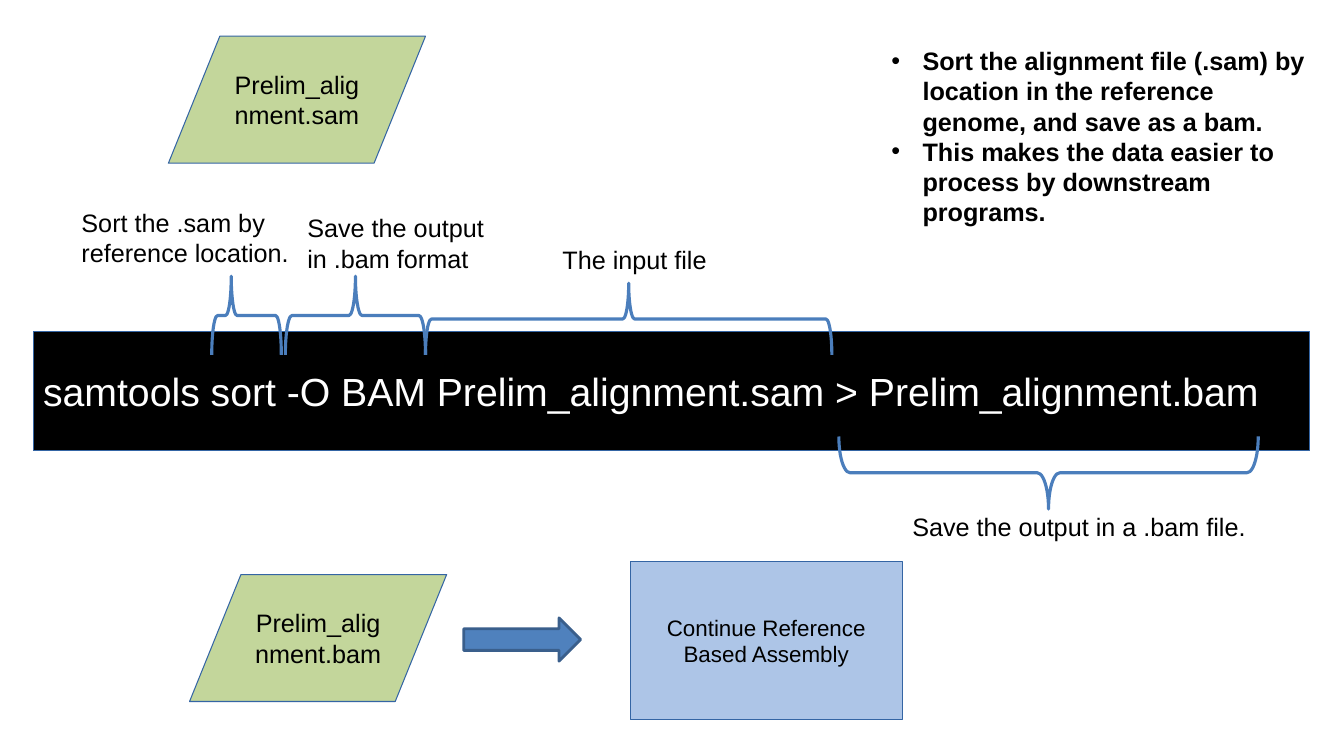
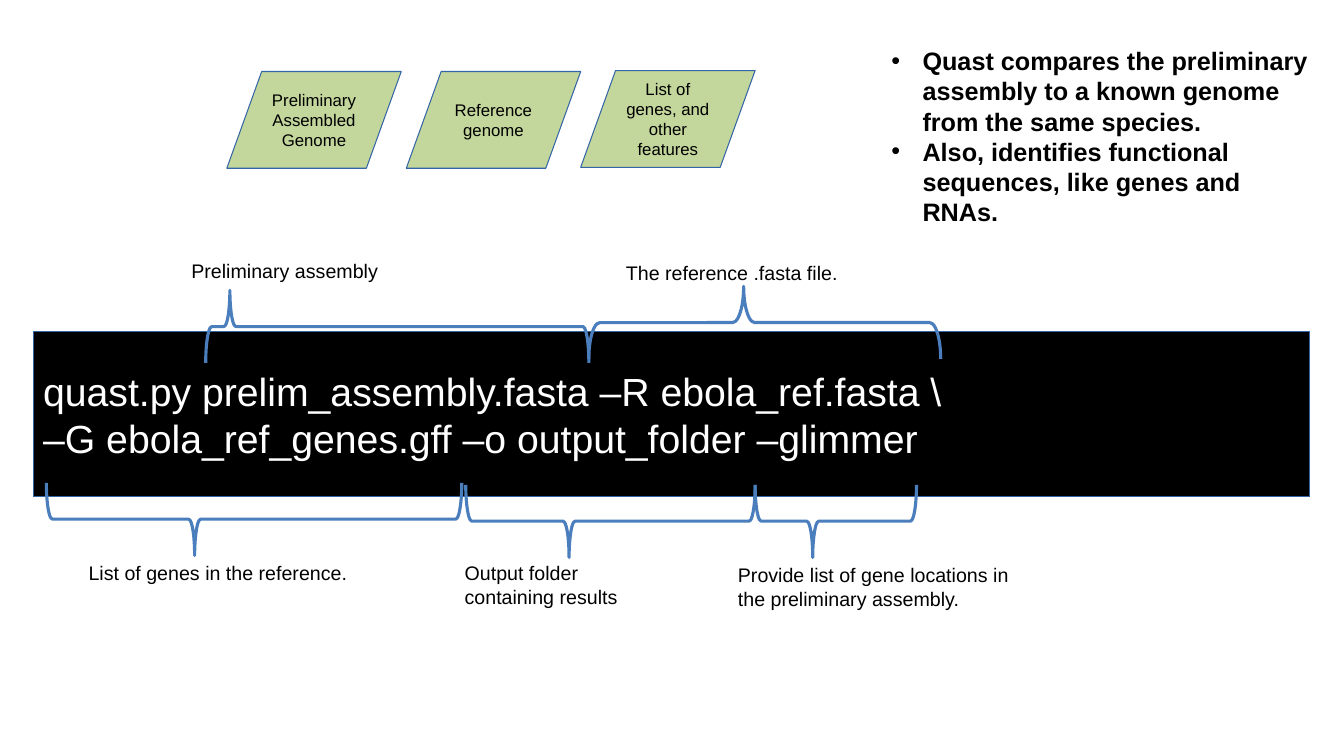
from pptx import Presentation
from pptx.dml.color import RGBColor
from pptx.enum import shapes, text
from pptx.util import Inches, Pt

FONT = "Arial"
BLACK, WHITE = "000000", "FFFFFF"
GREEN, PALE_BLUE, BLUE = "C3D69B", "ADC5E7", "4F81BD"
OUTLINE, BRACE, ARROW_EDGE = "3465A4", "4B7EBC", "3A5F8C"
LEFT, CENTER = text.PP_ALIGN.LEFT, text.PP_ALIGN.CENTER
TOP, MIDDLE = text.MSO_ANCHOR.TOP, text.MSO_ANCHOR.MIDDLE
SHAPE = shapes.MSO_SHAPE


def color(hex_value):
    return RGBColor.from_string(hex_value)


def write(shape, content, size=18, font_color=BLACK, bold=False,
          align=LEFT, anchor=TOP, bullets=False):
    """Fill a shape with text, one paragraph per line of content."""
    frame = shape.text_frame
    frame.word_wrap = True
    frame.auto_size = text.MSO_AUTO_SIZE.NONE
    frame.vertical_anchor = anchor
    frame.text = content
    for paragraph in frame.paragraphs:
        if bullets:
            properties = paragraph._p.get_or_add_pPr()
            properties.set("marL", str(Inches(0.31)))
            properties.set("indent", str(-Inches(0.31)))
        paragraph.alignment = align
        paragraph.space_before = Pt(0)
        paragraph.font.name = FONT
        paragraph.font.size = Pt(size)
        paragraph.font.bold = bold
        paragraph.font.color.rgb = color(font_color)


def add_shape(slide, kind, left, top, width, height, fill=None,
              line=OUTLINE, weight=0.75):
    shape = slide.shapes.add_shape(
        kind, Inches(left), Inches(top), Inches(width), Inches(height))
    shape.shadow.inherit = False
    if fill:
        shape.fill.solid()
        shape.fill.fore_color.rgb = color(fill)
    else:
        shape.fill.background()
    shape.line.color.rgb = color(line)
    shape.line.width = Pt(weight)
    return shape


def add_data(slide, content, left, top, width, height, size):
    shape = add_shape(slide, SHAPE.FLOWCHART_DATA, left, top, width, height, GREEN)
    write(shape, content, size, align=CENTER, anchor=MIDDLE)


def add_label(slide, content, left, top, width, height, size):
    box = slide.shapes.add_textbox(
        Inches(left), Inches(top), Inches(width), Inches(height))
    write(box, content, size)


def add_brace(slide, left, top, span, depth=0.72, up=True, curve=0.083, tip=0.5):
    """Draw a horizontal brace: left, top, span and depth are as seen after turning."""
    shape = add_shape(slide, SHAPE.LEFT_BRACE, left + (span - depth) / 2,
                      top + (depth - span) / 2, depth, span,
                      line=BRACE, weight=2.25)
    shape.rotation = 90 if up else 270
    shape.adjustments[0] = curve
    shape.adjustments[1] = tip


def add_command_slide(presentation, command, command_height, notes):
    """Add a slide with its bulleted notes and the black command band."""
    slide = presentation.slides.add_slide(presentation.slide_layouts[1])
    title, body = slide.placeholders
    title.element.getparent().remove(title.element)
    body.left, body.top = Inches(8.74), Inches(0.4)
    body.width, body.height = Inches(4.38), Inches(1.48)
    write(body, notes, bold=True, bullets=True)
    band = add_shape(slide, SHAPE.RECTANGLE, 0.33, 3.29, 12.66, command_height, BLACK)
    write(band, command, 28, WHITE, anchor=MIDDLE)
    return slide


def build_sort_slide(presentation):
    slide = add_command_slide(
        presentation,
        "samtools sort -O BAM Prelim_alignment.sam > Prelim_alignment.bam", 1.18,
        "Sort the alignment file (.sam) by location in the reference genome, "
        "and save as a bam.\n"
        "This makes the data easier to process by downstream programs.")
    add_data(slide, "Prelim_alignment.sam", 1.67, 0.36, 2.55, 1.26, 18)
    add_data(slide, "Prelim_alignment.bam", 1.88, 5.7, 2.55, 1.26, 18)
    add_shape(slide, SHAPE.RIGHT_ARROW, 4.6, 6.13, 1.16, 0.43, BLUE, ARROW_EDGE, 2)
    next_step = add_shape(slide, SHAPE.RECTANGLE, 6.25, 5.57, 2.7, 1.57, PALE_BLUE)
    write(next_step, "Continue Reference Based Assembly", 16,
          align=CENTER, anchor=MIDDLE)

    add_brace(slide, 2.1, 2.74, 0.69, 0.78, tip=0.72)
    add_brace(slide, 2.83, 2.74, 1.39, 0.78)
    add_brace(slide, 4.22, 2.81, 4.03, 0.71)
    add_brace(slide, 8.32, 4.33, 4.16, up=False, curve=0.155)
    for content, left, top, width, height in (
            ("Sort the .sam by reference location.", 0.71, 2.01, 2.33, 0.71),
            ("Save the output in .bam format", 2.95, 2.06, 2.33, 0.71),
            ("The input file", 5.48, 2.37, 2.66, 0.4),
            ("Save the output in a .bam file.", 8.95, 5.02, 3.69, 0.4)):
        add_label(slide, content, left, top, width, height, 18)


def build_quast_slide(presentation):
    slide = add_command_slide(
        presentation,
        "quast.py prelim_assembly.fasta –R ebola_ref.fasta \\\n"
        "–G ebola_ref_genes.gff –o output_folder –glimmer", 1.64,
        "Quast compares the preliminary assembly to a known genome "
        "from the same species.\n"
        "Also, identifies functional sequences, like genes and RNAs.")
    for content, left, top in (
            ("Preliminary Assembled Genome", 2.25, 0.71),
            ("Reference genome", 4.03, 0.71),
            ("List of genes, and other features", 5.76, 0.7)):
        add_data(slide, content, left, top, 1.73, 0.96, 12)

    add_brace(slide, 2.04, 2.88, 3.8, tip=0.937)
    add_brace(slide, 5.84, 2.84, 3.49, curve=0.152, tip=0.56)
    for left, top, span in ((0.46, 4.79, 4.12), (4.62, 4.81, 2.87), (7.49, 4.81, 1.6)):
        add_brace(slide, left, top, span, up=False, tip=0.357)
    for content, left, top, width, height in (
            ("Preliminary assembly", 1.8, 2.52, 2.14, 0.34),
            ("The reference .fasta file.", 6.11, 2.54, 2.88, 0.34),
            ("List of genes in the reference.", 0.78, 5.52, 3.05, 0.34),
            ("Output folder containing results", 4.51, 5.52, 2.18, 0.57),
            ("Provide list of gene locations in the preliminary assembly.",
             7.22, 5.54, 3.05, 0.57)):
        add_label(slide, content, left, top, width, height, 14)


def main():
    presentation = Presentation()
    presentation.slide_width = Inches(13.33)
    presentation.slide_height = Inches(7.5)
    build_sort_slide(presentation)
    build_quast_slide(presentation)
    presentation.save("out.pptx")


if __name__ == "__main__":
    main()
